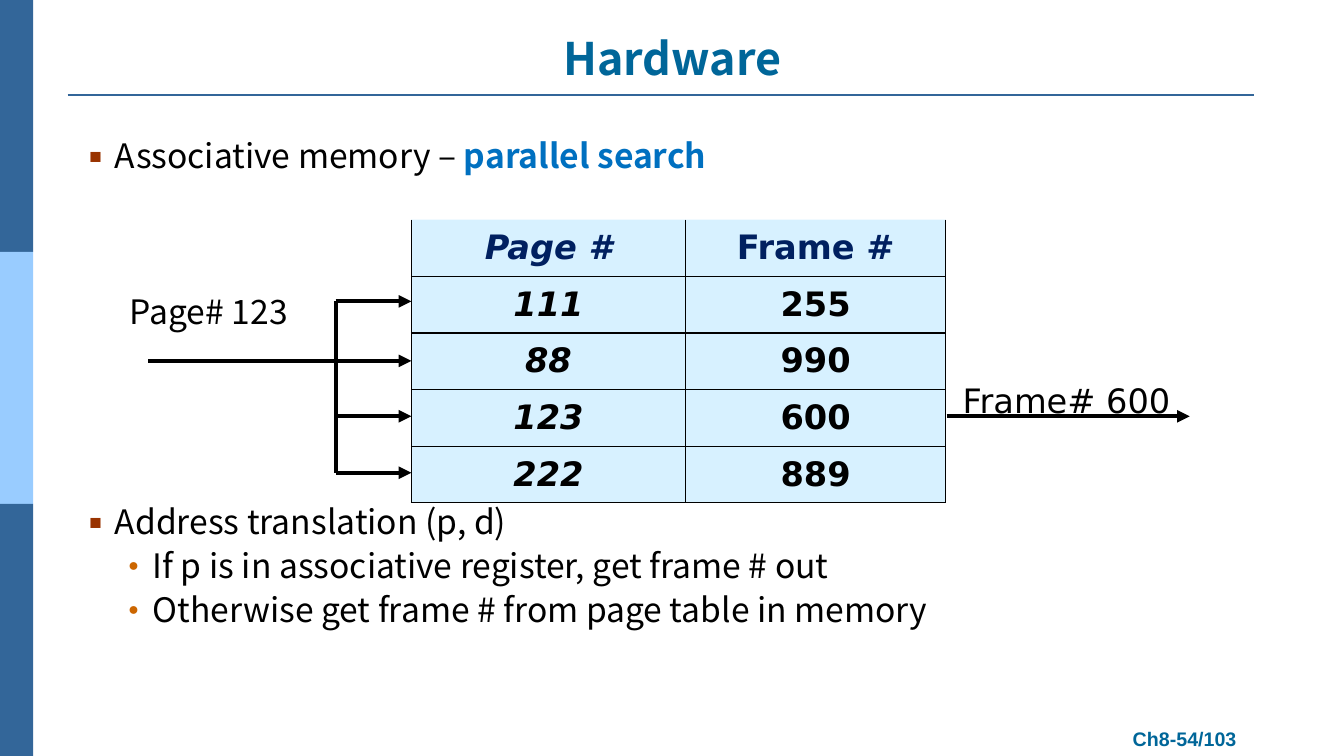
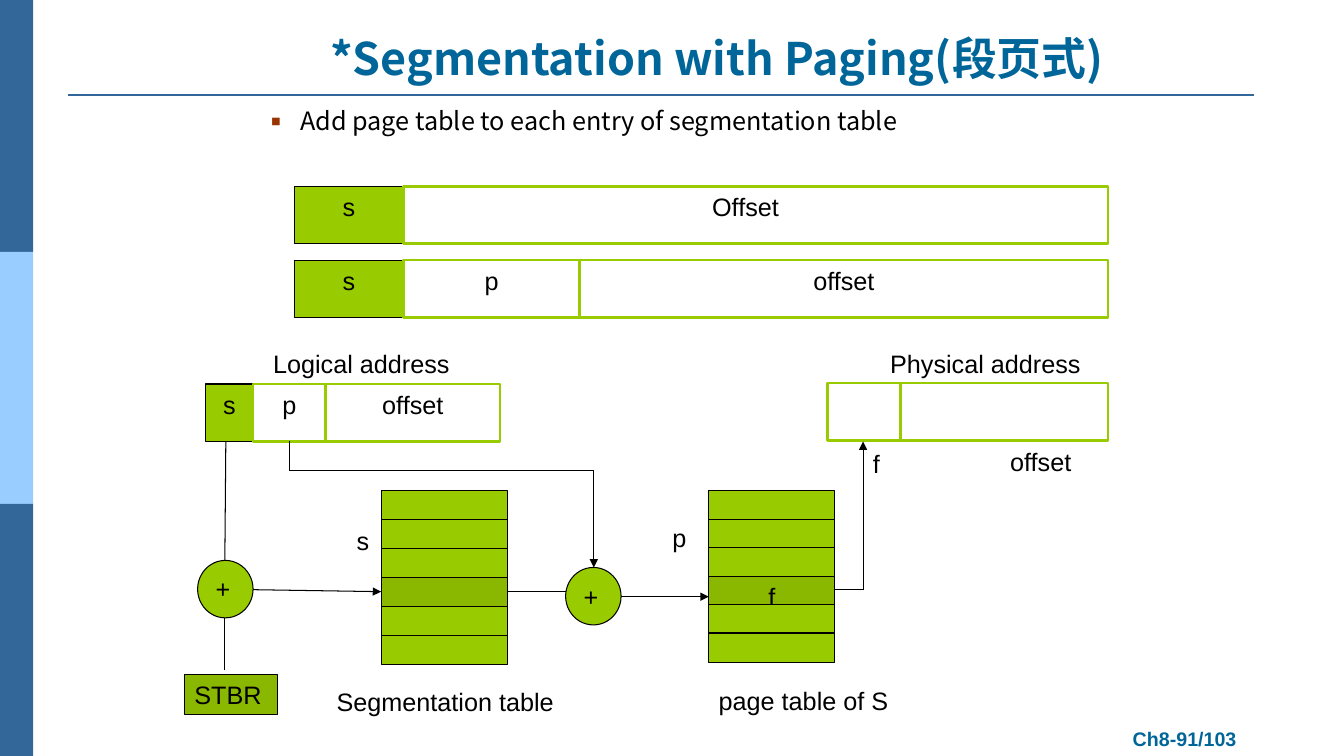
from dataclasses import dataclass, replace
from typing import NamedTuple

from lxml.etree import SubElement
from pptx import Presentation
from pptx.dml.color import RGBColor
from pptx.enum.shapes import MSO_CONNECTOR, MSO_SHAPE
from pptx.enum.text import MSO_ANCHOR, PP_ALIGN
from pptx.oxml import parse_xml
from pptx.oxml.ns import nsdecls, qn
from pptx.util import Inches, Pt

COLORS = {
    "band_dark": "336699", "band_light": "99CCFF", "title": "006699",
    "text": "000000", "accent": "0070C0", "header": "002060",
    "cell": "66CCFF", "green": "99CC00", "dark_green": "8AB800",
    "white": "FFFFFF", "square_bullet": "993300", "dot_bullet": "CC6600",
}
BODY_FONT = "Noto Sans CJK SC"
CENTER = PP_ALIGN.CENTER
LEFT = PP_ALIGN.LEFT


class Box(NamedTuple):
    left: float
    top: float
    width: float
    height: float


class Bullet(NamedTuple):
    character: str
    color: str
    margin: float
    indent: float


class Segment(NamedTuple):
    x1: float
    y1: float
    x2: float
    y2: float
    arrow: bool = False


@dataclass(frozen=True)
class Style:
    size: float = 18
    font: str = "Arial"
    color: str = "text"
    bold: bool = False
    italic: bool = False


@dataclass(frozen=True)
class Block:
    box: Box
    text: str = ""
    fill: str = "green"
    line: str = "text"
    weight: float = 0.75
    align: PP_ALIGN = CENTER
    kind: MSO_SHAPE = MSO_SHAPE.RECTANGLE
    right_inset: float = 0.1


SQUARE = Bullet("▪", "square_bullet", 0.37, -0.37)
DOT = Bullet("•", "dot_bullet", 0.69, -0.31)
LABEL = Style()
TITLE = Style(32, BODY_FONT, "title", True)
FOOTER = Style(14, color="title", bold=True)
BODY = Style(24, BODY_FONT)
CELL = Style(24, "DejaVu Sans", bold=True)


def rgb(name: str) -> RGBColor:
    return RGBColor.from_string(COLORS[name])


def inches(values) -> list:
    return [Inches(value) for value in values]


def apply(target, values: dict) -> None:
    for name, value in values.items():
        setattr(target, name, value)


def add_run(paragraph, text: str, style: Style) -> None:
    run = paragraph.add_run()
    run.text = text
    apply(run.font, {"size": Pt(style.size), "name": style.font,
                     "bold": style.bold, "italic": style.italic})
    run.font.color.rgb = rgb(style.color)
    SubElement(run.font._element, qn("a:ea"), typeface=style.font)


def add_bullet(paragraph, bullet: Bullet) -> None:
    properties = paragraph._p.get_or_add_pPr()
    properties.set("marL", str(Inches(bullet.margin)))
    properties.set("indent", str(Inches(bullet.indent)))
    color = SubElement(properties, qn("a:buClr"))
    SubElement(color, qn("a:srgbClr"), val=COLORS[bullet.color])
    SubElement(properties, qn("a:buSzPct"), val="110000")
    SubElement(properties, qn("a:buFont"), typeface=BODY_FONT)
    SubElement(properties, qn("a:buChar"), char=bullet.character)


def add_text(slide, box: Box, text: str, style: Style = LABEL,
             align: PP_ALIGN = LEFT, anchor: MSO_ANCHOR = MSO_ANCHOR.TOP,
             wrap: bool = False, spacing: float = 1.0) -> None:
    frame = slide.shapes.add_textbox(*inches(box)).text_frame
    apply(frame, {"word_wrap": wrap, "vertical_anchor": anchor})
    paragraph = frame.paragraphs[0]
    apply(paragraph, {"alignment": align, "line_spacing": spacing})
    add_run(paragraph, text, style)


def add_bullets(slide, box: Box, items: list) -> None:
    frame = slide.shapes.add_textbox(*inches(box)).text_frame
    frame.word_wrap = True
    for index, (bullet, runs) in enumerate(items):
        paragraph = frame.add_paragraph() if index else frame.paragraphs[0]
        add_bullet(paragraph, bullet)
        if index:
            paragraph.space_before = Pt(2.5)
        for text, style in runs:
            add_run(paragraph, text, style)


def add_block(slide, block: Block) -> None:
    shape = slide.shapes.add_shape(block.kind, *inches(block.box))
    shape.shadow.inherit = False
    shape.fill.solid()
    shape.fill.fore_color.rgb = rgb(block.fill)
    if block.weight:
        shape.line.color.rgb = rgb(block.line)
        shape.line.width = Pt(block.weight)
    else:
        shape.line.fill.background()
    if block.text:
        frame = shape.text_frame
        apply(frame, {"word_wrap": False, "vertical_anchor": MSO_ANCHOR.TOP,
                      "margin_right": Inches(block.right_inset)})
        frame.paragraphs[0].alignment = block.align
        add_run(frame.paragraphs[0], block.text, LABEL)


def add_lines(slide, segments: list, weight: float, color: str = "text") -> None:
    for segment in segments:
        connector = slide.shapes.add_connector(MSO_CONNECTOR.STRAIGHT, *inches(segment[:4]))
        connector.line.color.rgb = rgb(color)
        connector.line.width = Pt(weight)
        if segment.arrow:
            SubElement(connector.line._get_or_add_ln(), qn("a:tailEnd"), type="triangle")
        SubElement(connector._element.spPr, qn("a:effectLst"))


def style_cell(cell, top_border: bool) -> None:
    cell.vertical_anchor = MSO_ANCHOR.MIDDLE
    cell.fill.solid()
    cell.fill.fore_color.rgb = rgb("cell")
    properties = cell._tc.get_or_add_tcPr()
    SubElement(properties.find(".//" + qn("a:srgbClr")), qn("a:alpha"), val="26000")
    for index, side in enumerate("LRTB"):
        visible = side != "T" or top_border
        paint = (f'<a:solidFill><a:srgbClr val="{COLORS["text"]}"/></a:solidFill>'
                 if visible else "<a:noFill/>")
        border = f'<a:ln{side} {nsdecls("a")} w="{Pt(1)}">{paint}</a:ln{side}>'
        properties.insert(index, parse_xml(border))


def add_lookup_table(slide, box: Box, widths: list, rows: list) -> None:
    table = slide.shapes.add_table(len(rows), len(widths), *inches(box)).table
    apply(table, {"first_row": False, "horz_banding": False})
    for column, width in zip(table.columns, widths):
        column.width = Inches(width)
    for row_index, values in enumerate(rows):
        for column_index, value in enumerate(values):
            cell = table.cell(row_index, column_index)
            style_cell(cell, row_index > 0)
            paragraph = cell.text_frame.paragraphs[0]
            paragraph.alignment = CENTER
            add_run(paragraph, value, replace(
                CELL, italic=column_index == 0, color="text" if row_index else "header"))


def add_base_slide(presentation, title: str, title_box: Box, number: int):
    slide = presentation.slides.add_slide(presentation.slide_layouts[6])
    for index, color in enumerate(["band_dark", "band_light", "band_dark"]):
        add_block(slide, Block(Box(0, 2.5 * index, 0.33, 2.5), fill=color, weight=0))
    add_lines(slide, [Segment(0.67, 0.94, 12.44, 0.94)], 1.5, "band_dark")
    add_text(slide, Box(11.12, 7.16, 1.26, 0.34), f"Ch8-{number}/103", FOOTER, CENTER)
    add_text(slide, title_box, title, TITLE, CENTER, MSO_ANCHOR.BOTTOM, True)
    return slide


def add_hardware_slide(presentation) -> None:
    slide = add_base_slide(presentation, "Hardware", Box(0.67, 0.26, 12, 0.63), 54)
    add_bullets(slide, Box(0.67, 1.29, 12, 0.6), [
        (SQUARE, [("Associative memory – ", BODY),
                  ("parallel search", replace(BODY, color="accent", bold=True))])])
    add_text(slide, Box(1.19, 2.84, 2, 0.6), "Page# 123", BODY)
    add_bullets(slide, Box(0.67, 4.92, 12, 1.6), [
        (SQUARE, [("Address translation (p, d)", BODY)]),
        (DOT, [("If p is in associative register, get frame # out", BODY)]),
        (DOT, [("Otherwise get frame # from page table in memory", BODY)])])
    add_lookup_table(slide, Box(4.08, 2.18, 5.3, 2.81), [2.72, 2.58], [
        ("Page #", "Frame #"), ("111", "255"), ("88", "990"), ("123", "600"), ("222", "889")])
    branches = [Segment(3.33, y, 4.08, y, True) for y in (2.99, 4.13, 4.69)]
    add_lines(slide, branches + [
        Segment(1.47, 3.58, 4.08, 3.58, True),
        Segment(3.33, 2.99, 3.33, 4.69),
        Segment(9.39, 4.13, 11.8, 4.13, True)], 3)
    add_text(slide, Box(9.45, 3.52, 2.42, 0.63), "Frame# 600",
             replace(CELL, bold=False), wrap=True, spacing=1.5)


def add_address_bar(slide, left: float, top: float, fields: list) -> None:
    for text, width, right_inset in fields:
        block = Block(Box(left, top, width, 0.57), text, right_inset=right_inset)
        if text != "s":
            block = replace(block, fill="white", line="green", weight=2)
        add_block(slide, block)
        left += width


def add_memory_table(slide, left: float, pitch: float, text: str) -> None:
    for row in range(6):
        selected = row == 3
        add_block(slide, Block(Box(left, 4.87 + row * pitch, 1.25, 0.29),
                               text if selected else "",
                               "dark_green" if selected else "green"))


def add_segmentation_slide(presentation) -> None:
    slide = add_base_slide(presentation, "*Segmentation with Paging(段页式)",
                           Box(1.83, 0.26, 10.56, 0.63), 91)
    add_bullets(slide, Box(2.51, 1, 8.83, 0.45), [
        (SQUARE, [("Add page table to each entry of segmentation table",
                   replace(BODY, size=18))])])

    for left, top, fields in [
        (2.92, 1.85, [("s", 1.08, 0.1), ("Offset", 6.99, 0.3)]),
        (2.92, 2.58, [("s", 1.08, 0.1), ("p", 1.75, 0.1), ("offset", 5.24, 0.1)]),
        (2.04, 3.81, [("s", 0.47, 0.1), ("p", 0.72, 0.1), ("offset", 1.73, 0.1)]),
        (8.21, 3.8, [("", 0.72, 0.1), ("", 2.06, 0.1)]),
    ]:
        add_address_bar(slide, left, top, fields)

    add_memory_table(slide, 3.78, 0.286, "")
    add_memory_table(slide, 7.03, 0.282, "f")
    for left, top in [(1.96, 5.56), (5.61, 5.63)]:
        add_block(slide, Block(Box(left, top, 0.55, 0.57), "+",
                               align=LEFT, kind=MSO_SHAPE.OVAL))
    add_block(slide, Block(Box(1.83, 6.69, 0.92, 0.4), "STBR", "dark_green", align=LEFT))

    add_lines(slide, [
        Segment(2.24, 4.38, 2.23, 5.56),
        Segment(2.23, 6.13, 2.23, 6.65),
        Segment(2.51, 5.85, 3.78, 5.87, True),
        Segment(5.03, 5.87, 5.61, 5.87),
        Segment(2.87, 4.38, 2.87, 4.67),
        Segment(2.87, 4.67, 5.89, 4.67),
        Segment(5.89, 4.67, 5.89, 5.63, True),
        Segment(6.16, 5.92, 7.03, 5.92, True),
        Segment(8.28, 5.85, 8.56, 5.85),
        Segment(8.56, 5.85, 8.56, 4.38, True)], 0.75)

    for text, left, top, width in [
        ("Logical address", 2.61, 3.41, 1.97),
        ("Physical address", 8.73, 3.41, 2.11),
        ("s", 3.44, 5.16, 0.33),
        ("p", 6.57, 5.13, 0.34),
        ("f", 8.56, 4.4, 0.27),
        ("offset", 9.92, 4.38, 0.81),
        ("Segmentation table", 3.24, 6.76, 2.38),
        ("page table of S", 7.03, 6.75, 1.9),
    ]:
        add_text(slide, Box(left, top, width, 0.4), text)


def main() -> None:
    presentation = Presentation()
    apply(presentation, {"slide_width": Inches(13.33), "slide_height": Inches(7.5)})
    add_hardware_slide(presentation)
    add_segmentation_slide(presentation)
    presentation.save("out.pptx")


if __name__ == "__main__":
    main()
